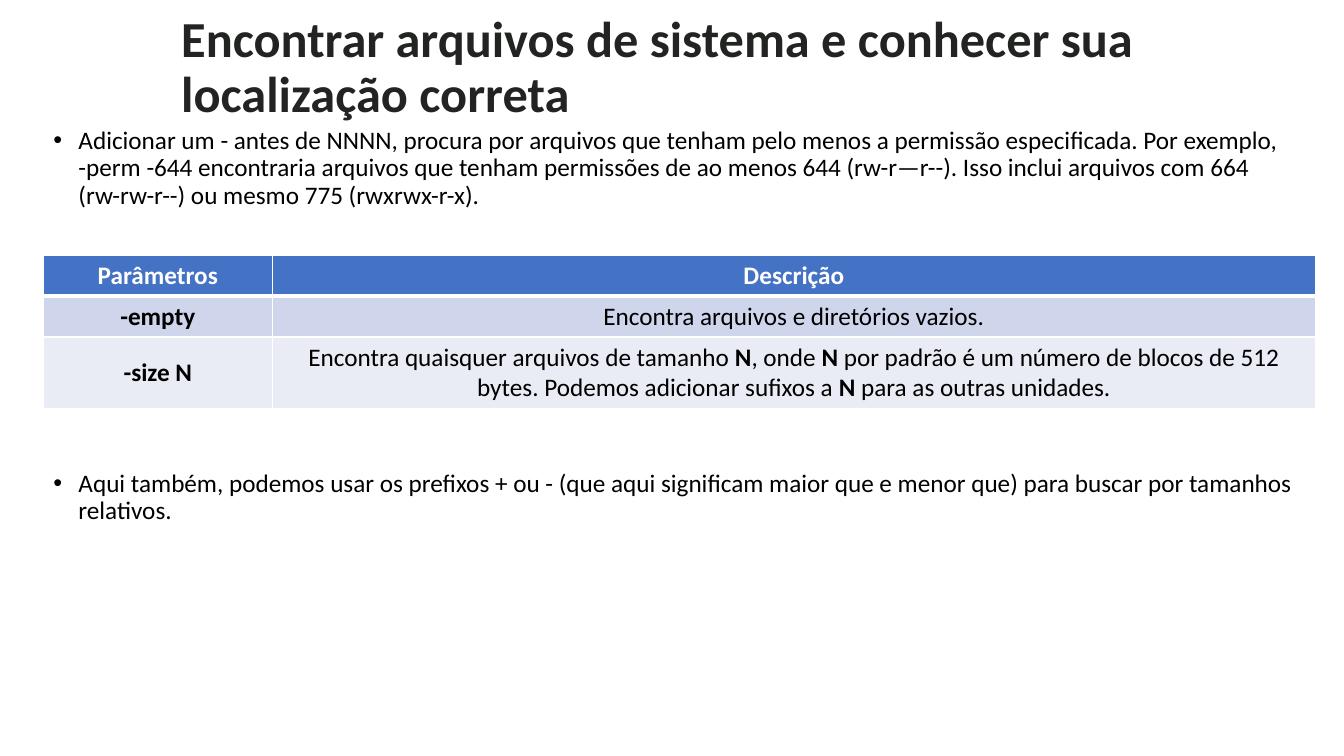
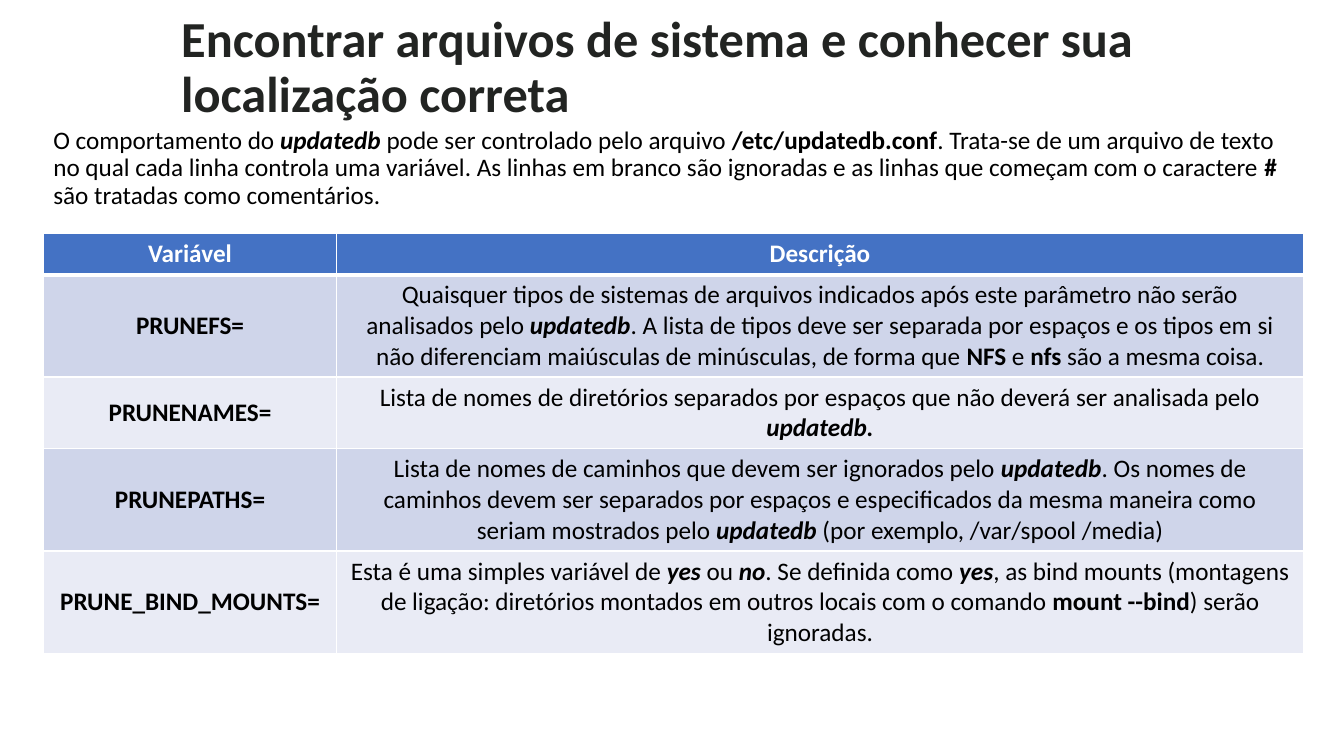
from lxml import etree
from pptx import Presentation
from pptx.dml.color import RGBColor
from pptx.enum.text import MSO_ANCHOR, MSO_AUTO_SIZE, PP_ALIGN
from pptx.oxml.ns import qn
from pptx.util import Pt

LEFT, CENTER = PP_ALIGN.LEFT, PP_ALIGN.CENTER
TOP, MIDDLE = MSO_ANCHOR.TOP, MSO_ANCHOR.MIDDLE
FIXED = MSO_AUTO_SIZE.NONE

COLORS = {
    "title": "222422",
    "text": "000000",
    "white": "FFFFFF",
    "header": "4472C4",
    "odd": "CFD5EA",
    "even": "E9EBF5",
}
FONT = "Calibri"
MARGIN = 31
BODY_WIDTH = 900
BODY_TOP = 87.84
TITLE = "Encontrar arquivos de sistema e conhecer sua localização correta"


def write(frame, text, size=18, color="text", bold=False, align=LEFT,
          anchor=TOP, spacing=None, bullet=False):
    frame.vertical_anchor = anchor
    para = frame.paragraphs[0]
    para.alignment = align
    if bullet:
        props = para._p.get_or_add_pPr()
        props.set("marL", str(Pt(18)))
        props.set("indent", str(-Pt(18)))
        etree.SubElement(props, qn("a:buFont"), typeface="Arial")
        etree.SubElement(props, qn("a:buChar"), char="•")
    if spacing:
        para.line_spacing = spacing
    for index, piece in enumerate(text.split("*")):
        if not piece:
            continue
        span = para.add_run()
        span.text = piece.removeprefix("~")
        span.font.name = FONT
        span.font.size = Pt(size)
        span.font.bold = bold or index % 2 == 1
        span.font.italic = piece.startswith("~")
        span.font.color.rgb = RGBColor.from_string(COLORS[color])


class Slides:
    def __init__(self):
        self.deck = Presentation()
        self.deck.slide_width = Pt(960)
        self.deck.slide_height = Pt(540)
        self.page = None

    def new_page(self):
        self.page = self.deck.slides.add_slide(self.deck.slide_layouts[6])
        self.text(TITLE, 122.4, 18.72, 808.56, 60.48, size=36,
                  color="title", bold=True, anchor=MIDDLE)

    def text(self, text, left, top, width, height, **style):
        box = self.page.shapes.add_textbox(Pt(left), Pt(top), Pt(width), Pt(height))
        frame = box.text_frame
        frame.word_wrap = True
        frame.auto_size = FIXED
        write(frame, text, spacing=0.9, **style)

    def body(self, text, top=BODY_TOP, bullet=False):
        self.text(text, MARGIN, top, BODY_WIDTH, 70, bullet=bullet)

    def borders(self, cell, **widths):
        props = cell._tc.get_or_add_tcPr()
        for side in ("L", "R", "T", "B"):
            line = etree.SubElement(props, qn("a:ln" + side), w=str(Pt(widths.get(side, 1))))
            fill = etree.SubElement(line, qn("a:solidFill"))
            etree.SubElement(fill, qn("a:srgbClr"), val=COLORS["white"])

    def table(self, rows, top, columns, heights):
        table = self.page.shapes.add_table(
            len(rows), len(columns), Pt(MARGIN), Pt(top),
            Pt(sum(columns)), Pt(sum(heights))).table
        for column, width in zip(table.columns, columns):
            column.width = Pt(width)
        for y, (row, height) in enumerate(zip(rows, heights)):
            table.rows[y].height = Pt(height)
            fill = "header" if y == 0 else "odd" if y % 2 else "even"
            for x, text in enumerate(row):
                cell = table.cell(y, x)
                self.borders(cell, T=3 if y == 1 else 1, B=3 if y == 0 else 1)
                cell.fill.solid()
                cell.fill.fore_color.rgb = RGBColor.from_string(COLORS[fill])
                cell.vertical_anchor = MIDDLE
                write(cell.text_frame, text, color="white" if y == 0 else "text",
                      bold=y == 0 or x == 0, align=CENTER, anchor=MIDDLE)


FIND_ROWS = [
    ("Parâmetros", "Descrição"),
    ("-empty", "Encontra arquivos e diretórios vazios."),
    ("-size N",
     "Encontra quaisquer arquivos de tamanho *N*, onde *N* por padrão é um número "
     "de blocos de 512 bytes. Podemos adicionar sufixos a *N* para as outras unidades."),
]
UPDATEDB_ROWS = [
    ("Variável", "Descrição"),
    ("PRUNEFS=",
     "Quaisquer tipos de sistemas de arquivos indicados após este parâmetro não serão "
     "analisados pelo *~updatedb*. A lista de tipos deve ser separada por espaços e os "
     "tipos em si não diferenciam maiúsculas de minúsculas, de forma que *NFS* e *nfs* "
     "são a mesma coisa."),
    ("PRUNENAMES=",
     "Lista de nomes de diretórios separados por espaços que não deverá ser analisada "
     "pelo *~updatedb.*"),
    ("PRUNEPATHS=",
     "Lista de nomes de caminhos que devem ser ignorados pelo *~updatedb*. Os nomes de "
     "caminhos devem ser separados por espaços e especificados da mesma maneira como "
     "seriam mostrados pelo *~updatedb* (por exemplo, /var/spool /media)"),
    ("PRUNE_BIND_MOUNTS=",
     "Esta é uma simples variável de *~yes* ou *~no*. Se definida como *~yes*, as bind "
     "mounts (montagens de ligação: diretórios montados em outros locais com o comando "
     "*mount --bind*) serão ignoradas."),
]


def main():
    slides = Slides()

    slides.new_page()
    slides.body(
        "Adicionar um - antes de NNNN, procura por arquivos que tenham pelo menos a "
        "permissão especificada. Por exemplo, -perm -644 encontraria arquivos que tenham "
        "permissões de ao menos 644 (rw-r—r--). Isso inclui arquivos com 664 (rw-rw-r--) "
        "ou mesmo 775 (rwxrwx-r-x).", bullet=True)
    slides.table(FIND_ROWS, 182.3, (163.44, 745.2), (29.2, 29.2, 50.4))
    slides.body(
        "Aqui também, podemos usar os prefixos + ou - (que aqui significam maior que e "
        "menor que) para buscar por tamanhos relativos.", top=332.8, bullet=True)

    slides.new_page()
    slides.body(
        "O comportamento do *~updatedb *pode ser controlado pelo arquivo "
        "*/etc/updatedb.conf*. Trata-se de um arquivo de texto no qual cada linha "
        "controla uma variável. As linhas em branco são ignoradas e as linhas que "
        "começam com o caractere *#* são tratadas como comentários.")
    slides.table(UPDATEDB_ROWS, 167, (209.52, 690.48), (29.2, 72, 50.4, 72, 72))

    slides.deck.save("out.pptx")


if __name__ == "__main__":
    main()
